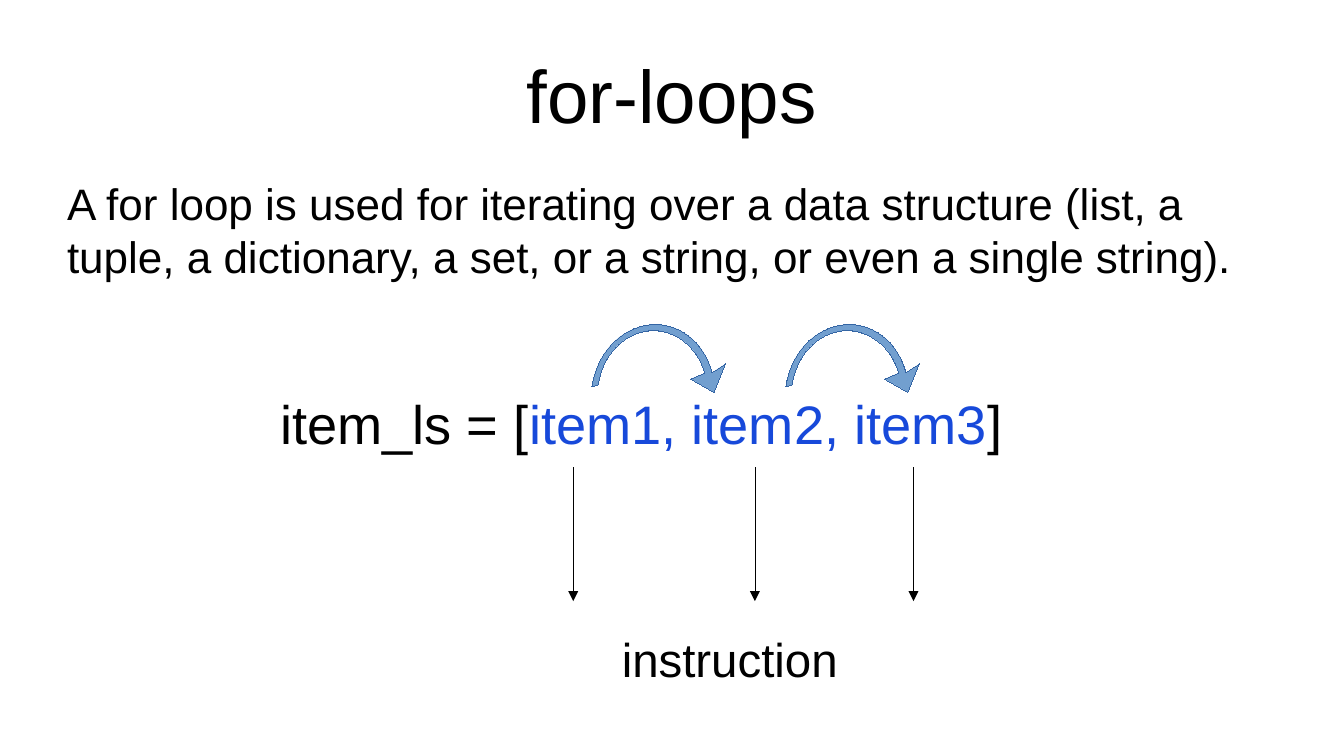
from pptx import Presentation
from pptx.dml.color import RGBColor as RGB
from pptx.enum.shapes import MSO_CONNECTOR as Conn
from pptx.enum.text import MSO_ANCHOR as Anchor, PP_ALIGN as Align
from pptx.oxml.ns import qn
from pptx.util import Inches, Pt
from lxml.etree import SubElement

WIDE, HIGH = 11.02, 6.2
HUE = {"ink": "000000", "item": "1749DA", "hop": "729FCF", "edge": "3465A4"}
GRID = 101, 115
HOP = [
    [(91, 36)],
    [(83, 15), (63, 2), (42, 6)],
    [(21, 10), (6, 30), (5, 54)],
    [(0, 56)],
    [(1, 29), (18, 6), (42, 1)],
    [(65, -4), (88, 10), (97, 35)],
    [(107, 27)],
    [(100, 51)],
    [(80, 42)],
]


def color(name):
    return RGB.from_string(HUE[name])


def add_text(slide, box, runs, size, pad=(0, 0), align=Align.LEFT, anchor=Anchor.TOP):
    frame = slide.shapes.add_textbox(*map(Inches, box)).text_frame
    frame.word_wrap = True
    frame.vertical_anchor = anchor
    frame.margin_left = frame.margin_right = Inches(pad[0])
    frame.margin_top = frame.margin_bottom = Inches(pad[1])
    para = frame.paragraphs[0]
    para.alignment = align
    for text, hue in runs:
        run = para.add_run()
        run.text = text
        run.font.name = "Arial"
        run.font.size = Pt(size)
        run.font.color.rgb = color(hue)


def set_line(shape, hue):
    shape.line.color.rgb = color(hue)
    edge = shape.line._get_or_add_ln()
    edge.set("w", "0")
    return edge


def add_arrow(slide, x, top, end):
    line = slide.shapes.add_connector(Conn.STRAIGHT, *map(Inches, (x, top, x, end)))
    SubElement(set_line(line, "ink"), qn("a:tailEnd"), type="triangle")
    SubElement(line._element.spPr, qn("a:effectLst"))


def add_hop(slide, box):
    ends = [part[-1] for part in HOP]
    build = slide.shapes.build_freeform(*ends[0])
    build.add_line_segments(ends[1:], close=True)
    shape = build.convert_to_shape()
    shape.left, shape.top, shape.width, shape.height = map(Inches, box)
    shape.rotation = 5.5
    route = next(shape._element.iter(qn("a:path")))
    route.set("w", str(GRID[0]))
    route.set("h", str(GRID[1]))
    for step, part in zip(list(route), HOP):
        for dot in list(step):
            step.remove(dot)
        if len(part) == 3:
            bend = route.makeelement(qn("a:cubicBezTo"))
            route.replace(step, bend)
            step = bend
        for x, y in part:
            SubElement(step, qn("a:pt"), x=str(x), y=str(y))
    shape.shadow.inherit = False
    shape.fill.solid()
    shape.fill.fore_color.rgb = color("hop")
    set_line(shape, "edge")


def add_intro(slide, box):
    left, top, wide, high = box
    add_text(slide, (left, top, wide, high * 0.2), [("for-loops", "ink")], 44,
             align=Align.CENTER, anchor=Anchor.MIDDLE)
    add_text(slide, (left, top + high * 0.23, wide, high * 0.69), [
        ("A for loop is used for iterating over a data structure (list, a tuple, "
         "a dictionary, a set, or a string, or even a single string).", "ink"),
    ], 26)


def add_loop(slide, box):
    left, top, wide, high = box
    pad = 0.1, 0.05
    add_text(slide, (left, top + 0.49, wide, 1.09), [
        ("item_ls = [", "ink"),
        ("item1, item2, item3", "item"),
        ("]", "ink"),
    ], 32, pad)
    add_text(slide, (left + 2.8, top + 2.46, 2.4, high - 2.46),
             [("instruction", "ink")], 28, pad)
    for x in (2.5, 3.99, 5.29):
        add_arrow(slide, left + x, top + 1.17, top + 2.27)
    for col in range(2):
        add_hop(slide, (left + 2.65 + col * 1.59, top, GRID[0] / 100, GRID[1] / 100))


def main():
    deck = Presentation()
    deck.slide_width, deck.slide_height = Inches(WIDE), Inches(HIGH)
    slide = deck.slides.add_slide(deck.slide_layouts[6])
    add_intro(slide, (0.55, 0.25, WIDE * 0.9, 5.2))
    add_loop(slide, (2.2, 2.66, 6.86, 3.24))
    deck.save("out.pptx")


if __name__ == "__main__":
    main()
